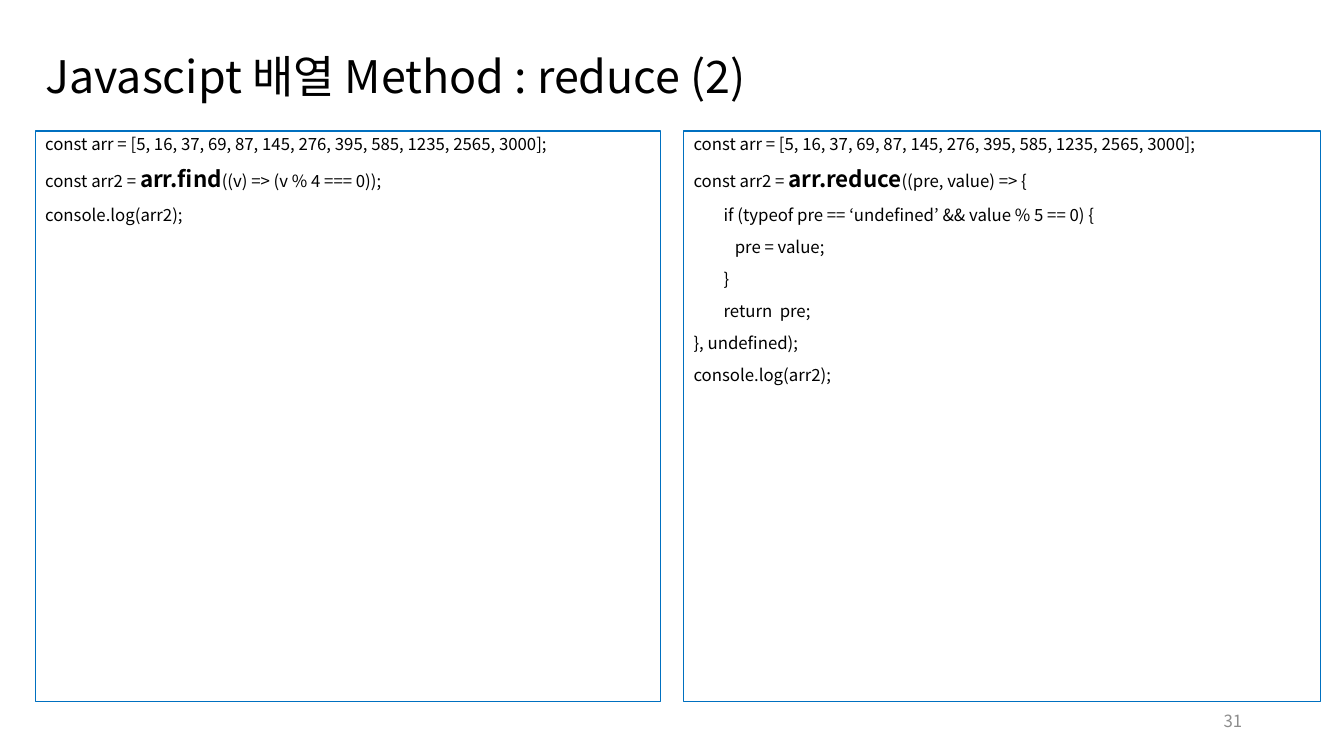
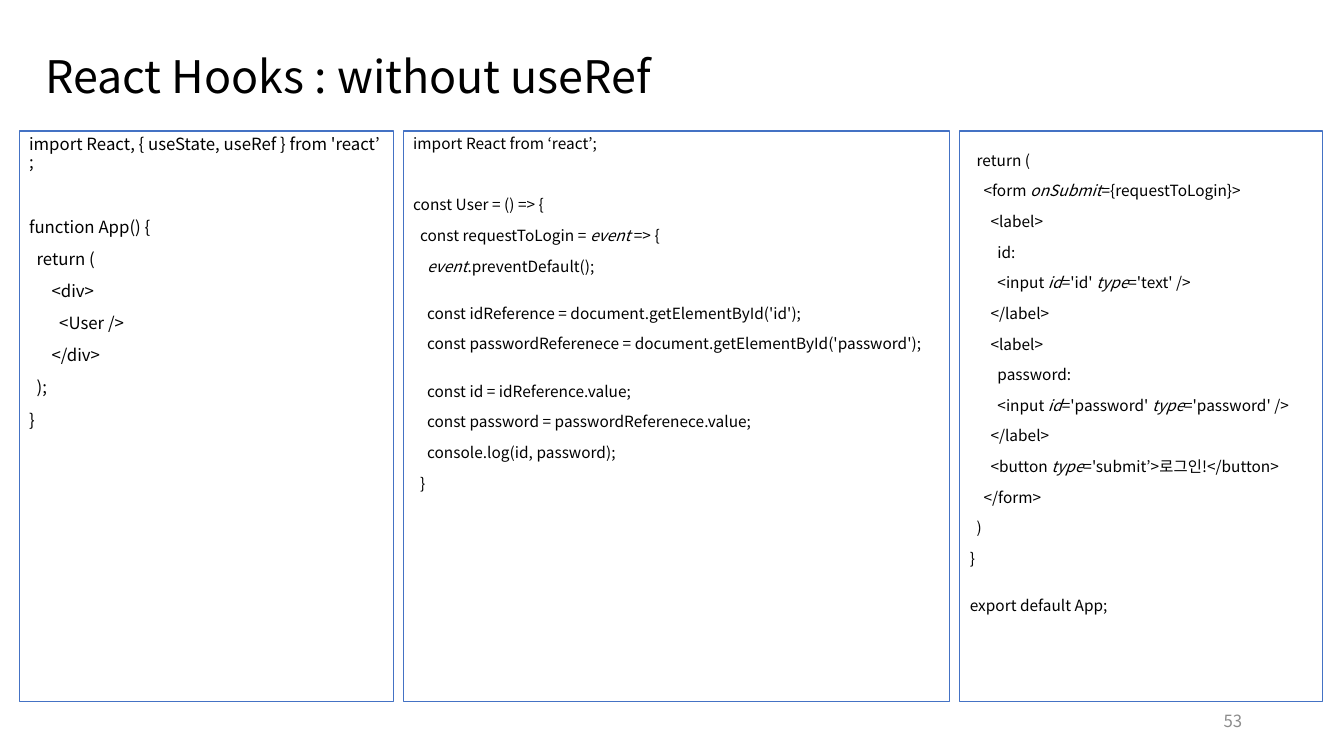
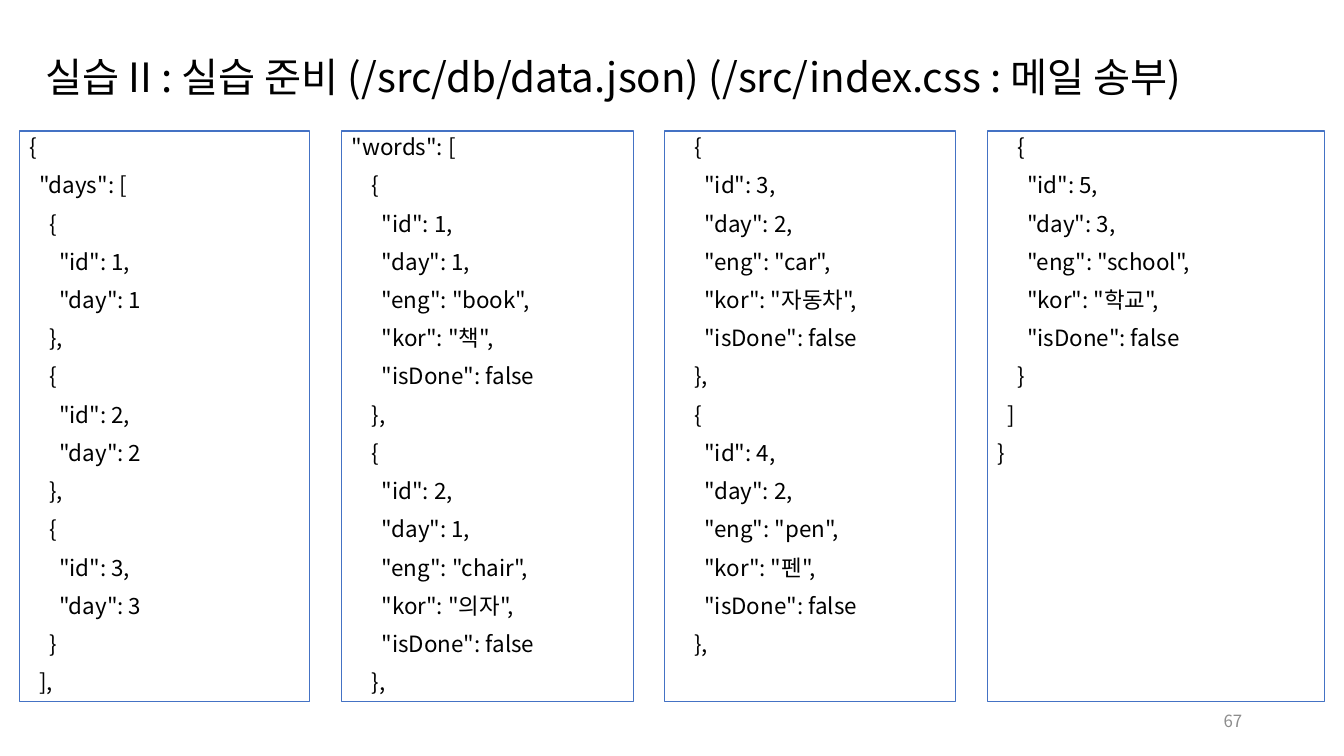
from dataclasses import dataclass

from lxml import etree
from pptx import Presentation
from pptx.dml.color import RGBColor
from pptx.enum.shapes import MSO_SHAPE
from pptx.enum.text import MSO_ANCHOR, PP_ALIGN
from pptx.oxml.ns import qn
from pptx.util import Inches, Pt

# Shared look
RECTANGLE = MSO_SHAPE.RECTANGLE
TOP, MIDDLE = MSO_ANCHOR.TOP, MSO_ANCHOR.MIDDLE
LEFT, RIGHT = PP_ALIGN.LEFT, PP_ALIGN.RIGHT
FONT = "Noto Sans CJK KR"
BLACK, GRAY = "000000", "8C8C8C"
BRIGHT_BLUE, SOFT_BLUE = "0070C0", "4472C4"
PANEL_TOP, PANEL_HEIGHT = 1.3, 5.66
PARAGRAPH_GAP = 10
LINE_FACTOR = 1.08
TOP_INSET = 3.6
NO_BREAK_SPACE = chr(160)

# Code notation: |...| is emphasis, an empty line is a full row of space,
# and a line holding only LINE_GAP is one text line of space.
EMPHASIS = "|"
LINE_GAP = "~"


@dataclass
class Panel:
    left: float
    width: float
    size: float
    code: str


@dataclass
class CodePage:
    title: str
    number: int
    panels: list[Panel]
    line_color: str = SOFT_BLUE
    title_size: float = 32
    bold_emphasis: bool = False
    hard_spaces: bool = True


# Slide content
FIND_CODE = """\
const arr = [5, 16, 37, 69, 87, 145, 276, 395, 585, 1235, 2565, 3000];
const arr2 = |arr.find|((v) => (v % 4 === 0));
console.log(arr2);"""

REDUCE_CODE = """\
const arr = [5, 16, 37, 69, 87, 145, 276, 395, 585, 1235, 2565, 3000];
const arr2 = |arr.reduce|((pre, value) => {
        if (typeof pre == ‘undefined’ && value % 5 == 0) {
           pre = value;
        }
        return  pre;
}, undefined);
console.log(arr2);"""

APP_CODE = """\
import React, { useState, useRef } from 'react’;

function App() {
  return (
      <div>
        <User />
      </div>
  );
}"""

USER_CODE = """\
import React from ‘react’;

const User = () => {
  const requestToLogin = |event| => {
    |event|.preventDefault();
~
    const idReference = document.getElementById('id');
    const passwordReferenece = document.getElementById('password');
~
    const id = idReference.value;
    const password = passwordReferenece.value;
    console.log(id, password);
  }"""

FORM_CODE = """\
~
  return (
    <form |onSubmit|={requestToLogin}>
      <label>
        id:
        <input |id|='id' |type|='text' />
      </label>
      <label>
        password:
        <input |id|='password' |type|='password' />
      </label>
      <button |type|='submit’>로그인!</button>
    </form>
  )
}
~
export default App;"""

DAYS_JSON = """\
{
  "days": [
    {
      "id": 1,
      "day": 1
    },
    {
      "id": 2,
      "day": 2
    },
    {
      "id": 3,
      "day": 3
    }
  ],"""


def word_json(number: int, day: int, english: str, korean: str, end: str = ",") -> str:
    return f"""\
    {{
      "id": {number},
      "day": {day},
      "eng": "{english}",
      "kor": "{korean}",
      "isDone": false
    }}{end}"""


FIRST_WORDS = "\n".join(['"words": [', word_json(1, 1, "book", "책"), word_json(2, 1, "chair", "의자")])
MIDDLE_WORDS = "\n".join([word_json(3, 2, "car", "자동차"), word_json(4, 2, "pen", "펜")])
LAST_WORDS = "\n".join([word_json(5, 3, "school", "학교", end=""), "  ]", "}"])

PAGES = [
    CodePage(
        "Javascipt 배열 Method : reduce (2)", 31,
        [Panel(0.35, 6.2, 12, FIND_CODE), Panel(6.78, 6.32, 12, REDUCE_CODE)],
        line_color=BRIGHT_BLUE, bold_emphasis=True, hard_spaces=False,
    ),
    CodePage(
        "React Hooks : without useRef", 53,
        [Panel(0.19, 3.71, 12, APP_CODE), Panel(4, 5.42, 11, USER_CODE), Panel(9.52, 3.6, 11, FORM_CODE)],
    ),
    CodePage(
        "실습 II : 실습 준비 (/src/db/data.json) (/src/index.css : 메일 송부)", 67,
        [Panel(0.19, 2.88, 16, DAYS_JSON), Panel(3.39, 2.89, 16, FIRST_WORDS),
         Panel(6.59, 2.89, 16, MIDDLE_WORDS), Panel(9.79, 3.35, 16, LAST_WORDS)],
        title_size=28.8,
    ),
]


# Drawing
def rgb(color: str) -> RGBColor:
    return RGBColor.from_string(color)


def add_span(para, text: str, *, size: float, color: str = BLACK,
             bold: bool = False, italic: bool = False) -> None:
    span = para.add_run()
    span.text = text
    font = span.font
    font.name, font.size = FONT, Pt(size)
    font.bold, font.italic = bold, italic
    font.color.rgb = rgb(color)
    # Hangul uses the East Asian font slot
    etree.SubElement(span._r.get_or_add_rPr(), qn("a:ea")).set("typeface", FONT)


def add_label(page, text: str, left: float, top: float, width: float, height: float, *,
              size: float, color: str = BLACK, align=LEFT, line_spacing: float = 1.0) -> None:
    box = page.shapes.add_textbox(Inches(left), Inches(top), Inches(width), Inches(height))
    frame = box.text_frame
    frame.word_wrap = True
    frame.vertical_anchor = MIDDLE
    para = frame.paragraphs[0]
    para.alignment, para.line_spacing = align, line_spacing
    add_span(para, text, size=size, color=color)


def add_code(frame, panel: Panel, bold_emphasis: bool) -> None:
    line_height = panel.size * LINE_FACTOR
    gap = 0.0
    started = False
    for line in panel.code.split("\n"):
        if not line:
            gap += line_height + PARAGRAPH_GAP
            continue
        if line == LINE_GAP:
            gap += line_height
            continue
        if started:
            para = frame.add_paragraph()
            para.space_before = Pt(PARAGRAPH_GAP + gap)
        else:
            para = frame.paragraphs[0]
            frame.margin_top = Pt(TOP_INSET + gap)
            started = True
        para.alignment = LEFT
        spans = line.split(EMPHASIS)
        enlarged = bold_emphasis and len(spans) > 1
        big_size = panel.size + 4
        para.line_spacing = Pt((big_size if enlarged else panel.size) * LINE_FACTOR)
        for index, text in enumerate(spans):
            strong = index % 2 == 1
            if text:
                add_span(para, text, size=big_size if strong and bold_emphasis else panel.size,
                         bold=strong and bold_emphasis, italic=strong and not bold_emphasis)
        gap = 0.0


def add_panel(page, panel: Panel, content: CodePage) -> None:
    box = page.shapes.add_shape(RECTANGLE, Inches(panel.left), Inches(PANEL_TOP),
                                Inches(panel.width), Inches(PANEL_HEIGHT))
    box.shadow.inherit = False
    box.fill.background()
    box.line.color.rgb = rgb(content.line_color)
    box.line.width = Pt(0.75)
    frame = box.text_frame
    frame.word_wrap = True
    frame.vertical_anchor = TOP
    if content.hard_spaces:
        panel.code = panel.code.replace(" ", NO_BREAK_SPACE)
    add_code(frame, panel, content.bold_emphasis)


def add_page(deck, content: CodePage) -> None:
    page = deck.slides.add_slide(deck.slide_layouts[6])
    add_label(page, content.title, 0.35, 0.4, 12.66, 0.77, size=content.title_size, line_spacing=0.9)
    add_label(page, str(content.number), 9.42, 6.95, 3, 0.4, size=12, color=GRAY, align=RIGHT)
    for panel in content.panels:
        add_panel(page, panel, content)


def main() -> None:
    deck = Presentation()
    deck.slide_width, deck.slide_height = Inches(13.33), Inches(7.5)
    for content in PAGES:
        add_page(deck, content)
    deck.save("out.pptx")


if __name__ == "__main__":
    main()
